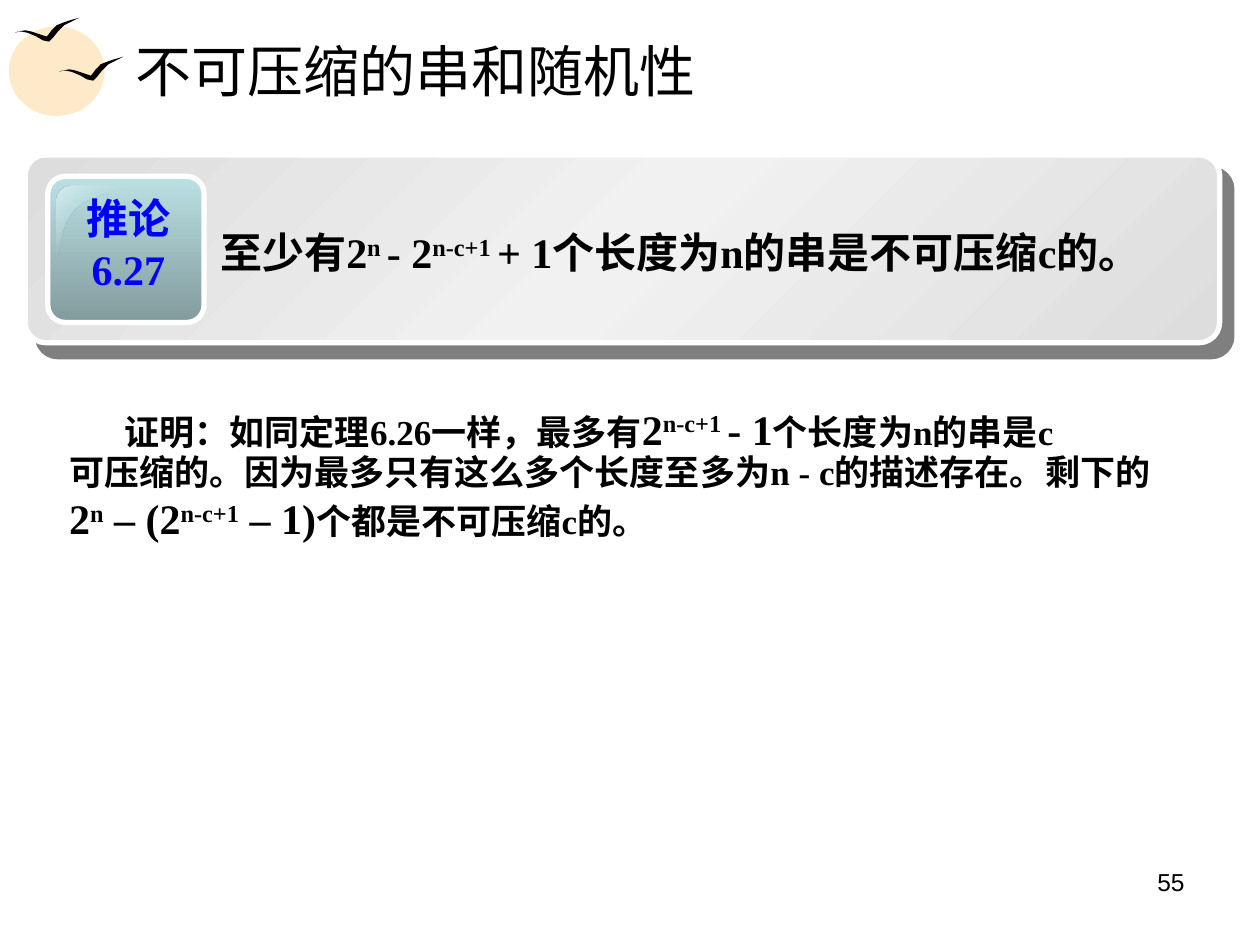
from lxml import etree
from pptx import Presentation
from pptx.dml.color import RGBColor
from pptx.enum.shapes import MSO_SHAPE
from pptx.enum.text import MSO_ANCHOR, PP_ALIGN
from pptx.oxml.ns import qn
from pptx.util import Inches, Pt

OVAL, ROUNDED = MSO_SHAPE.OVAL, MSO_SHAPE.ROUNDED_RECTANGLE
LEFT, CENTER, RIGHT = PP_ALIGN.LEFT, PP_ALIGN.CENTER, PP_ALIGN.RIGHT
TOP, MIDDLE = MSO_ANCHOR.TOP, MSO_ANCHOR.MIDDLE

BLACK = RGBColor(0x00, 0x00, 0x00)
WHITE = RGBColor(0xFF, 0xFF, 0xFF)
BLUE = RGBColor(0x00, 0x00, 0xFF)
SUN = RGBColor(0xFE, 0xE9, 0xC8)
SILVER = RGBColor(0xDD, 0xDD, 0xDD)
PEARL = RGBColor(0xF1, 0xF1, 0xF1)
AQUA = RGBColor(0xBB, 0xE0, 0xE3)
TEAL = RGBColor(0x82, 0x9B, 0x9D)
MIST = RGBColor(0xD9, 0xED, 0xEE)

SERIF, SANS = "Times New Roman", "Arial"

BIRD = [
    (0, 0.12), (0.03, 0.11), (0.08, 0.1), (0.13, 0.11), (0.19, 0.13), (0.25, 0.15),
    (0.26, 0.14), (0.29, 0.1), (0.33, 0.06), (0.38, 0.04), (0.44, 0.02), (0.51, 0),
    (0.45, 0.03), (0.39, 0.06), (0.34, 0.11), (0.3, 0.16), (0.27, 0.19),
    (0.22, 0.18), (0.17, 0.15), (0.1, 0.12), (0.05, 0.11), (0.02, 0.11),
]


def add_text(slide, box, paragraphs, size=24, color=BLACK, font=SERIF, bold=True,
             align=LEFT, anchor=TOP, margin=0, indent=0):
    """Add paragraphs made of (text, size, is_superscript) runs or plain strings."""
    frame = slide.shapes.add_textbox(*map(Inches, box)).text_frame
    frame.word_wrap = True
    frame.vertical_anchor = anchor
    for number, runs in enumerate(paragraphs):
        paragraph = frame.add_paragraph() if number else frame.paragraphs[0]
        paragraph.alignment = align
        properties = paragraph._p.get_or_add_pPr()
        properties.set("marL", str(Inches(margin)))
        properties.set("indent", str(Inches(indent)))
        for part in [runs] if isinstance(runs, str) else runs:
            text, run_size, raised = (part, size, False) if isinstance(part, str) else part
            run = paragraph.add_run()
            run.text = text
            run.font.size, run.font.bold, run.font.name = Pt(run_size), bold, font
            run.font.color.rgb = color
            if raised:
                run.font._element.set("baseline", "30000")


def set_gradient(shape, stops, angle):
    """Fill a shape with (position, colour, opacity) stops, all in percent."""
    shape.fill.gradient()
    shape.fill.gradient_angle = angle
    stop_list = shape._element.spPr.find(qn("a:gradFill")).find(qn("a:gsLst"))
    stop_list.clear()
    for position, color, opacity in stops:
        stop = etree.SubElement(stop_list, qn("a:gs"), pos=str(position * 1000))
        tint = etree.SubElement(stop, qn("a:srgbClr"), val=str(color))
        if opacity < 100:
            etree.SubElement(tint, qn("a:alpha"), val=str(opacity * 1000))


def add_panel(slide, box, corner, stops, angle):
    """Add a white-edged rounded panel with a gradient."""
    panel = slide.shapes.add_shape(ROUNDED, *map(Inches, box))
    panel.adjustments[0] = corner
    panel.shadow.inherit = False
    panel.line.color.rgb, panel.line.width = WHITE, Pt(3)
    set_gradient(panel, stops, angle)
    return panel


def add_outline(slide, left, top, points):
    """Add a closed, lineless outline at an offset."""
    corners = [(Inches(left + x), Inches(top + y)) for x, y in points]
    builder = slide.shapes.build_freeform(*corners[0], scale=1.0)
    builder.add_line_segments(corners[1:], close=True)
    outline = builder.convert_to_shape()
    outline.shadow.inherit = False
    outline.line.fill.background()
    return outline


def bezier(start, first, second, end, steps=12):
    """Return the points after the start of a cubic curve."""
    def at(t, axis):
        u = 1 - t
        return (u ** 3 * start[axis] + 3 * u * u * t * first[axis]
                + 3 * u * t * t * second[axis] + t ** 3 * end[axis])
    return [(at(i / steps, 0), at(i / steps, 1)) for i in range(1, steps + 1)]


def add_drop_shadow(shape):
    """Give a shape a hard half-transparent shadow to the lower right."""
    effects = shape._element.spPr.find(qn("a:effectLst"))
    shadow = etree.SubElement(effects, qn("a:outerShdw"), blurRad="0", dist=str(Pt(10.6)),
                              dir=str(49 * 60000), algn="ctr", rotWithShape="0")
    tint = etree.SubElement(shadow, qn("a:srgbClr"), val=str(BLACK))
    etree.SubElement(tint, qn("a:alpha"), val="50000")


def add_emblem(slide, left, top):
    """Draw the sun with two birds."""
    for box in ((left, top + 0.07, 0.76, 0.71), (left + 0.13, top + 0.14, 0.63, 0.55)):
        sun = slide.shapes.add_shape(OVAL, *map(Inches, box))
        sun.shadow.inherit = False
        sun.fill.solid()
        sun.fill.fore_color.rgb = SUN
        sun.line.fill.background()
    for x, y in ((0.4, 0.31), (0.05, 0)):
        bird = add_outline(slide, left + x, top + y, BIRD)
        bird.fill.solid()
        bird.fill.fore_color.rgb = BLACK


def add_badge(slide, left, top, width, height):
    """Draw the glossy badge with the corollary number."""
    add_panel(slide, (left, top, width, height), 0.119,
              [(0, AQUA, 100), (100, TEAL, 100)], 270)
    shine = [(0.13, 0), *bezier((0.13, 0), (0.06, 0), (0, 0.05), (0, 0.12)), (0, 0.58),
             *bezier((0, 0.58), (0.03, 0.58), (0.02, 0.3), (0.17, 0.17)),
             *bezier((0.17, 0.17), (0.33, 0.04), (0.62, 0.03), (0.61, 0))]
    gloss = add_outline(slide, left + 0.07, top + 0.07, shine)
    set_gradient(gloss, [(0, MIST, 100), (50, AQUA, 0), (100, MIST, 100)], 135)
    add_text(slide, (left + 0.17, top + 0.08, 0.94, 0.9), ["推论", "6.27"],
             color=BLUE, align=CENTER)


def add_corollary(slide, left, top, width, height):
    """Draw the card that states the corollary."""
    card = add_panel(slide, (left, top, width, height), 0.109,
                     [(0, SILVER, 100), (50, PEARL, 100), (100, SILVER, 100)], 135)
    add_drop_shadow(card)
    add_badge(slide, left + 0.18, top + 0.17, 1.24, 1.16)
    statement = ["至少有2", ("n ", 24, True), "- 2", ("n-c+1 ", 24, True),
                 "+ 1个长度为n的串是不可压缩c的。"]
    add_text(slide, (left + 1.45, top + 0.52, 7.76, 0.9), [statement],
             margin=0.48, indent=-0.48)


def add_proof(slide, left, top, width, height):
    """Write the proof, its first line indented."""
    opening = [("证明：如同定理6.26一样，最多有", 20, False), "2", ("n-c+1 ", 24, True),
               "- 1", ("个长度为n的串是c", 20, False)]
    rest = [("可压缩的。因为最多只有这么多个长度至多为n - c的描述存在。剩下的", 20, False),
            "2", ("n", 24, True), " – (2", ("n-c+1", 24, True), " – 1)",
            ("个都是不可压缩c的。", 20, False)]
    add_text(slide, (left, top, width, height), [opening], indent=0.44)
    add_text(slide, (left, top + 0.38, width, height - 0.38), [rest])


def main():
    """Build and save the slide."""
    deck = Presentation()
    deck.slide_width, deck.slide_height = Inches(10), Inches(7.5)
    slide = deck.slides.add_slide(deck.slide_layouts[6])
    add_emblem(slide, 0.07, 0.14)
    add_text(slide, (0.98, 0.21, 8.53, 0.69), ["不可压缩的串和随机性"],
             size=32, bold=False, anchor=MIDDLE)
    add_corollary(slide, 0.2, 1.23, 9.48, 1.49)
    add_proof(slide, 0.45, 3.15, 9.04, 1.24)
    add_text(slide, (7.17, 6.83, 2.33, 0.52), ["55"],
             size=14, font=SANS, bold=False, align=RIGHT)
    deck.save("out.pptx")


if __name__ == "__main__":
    main()
